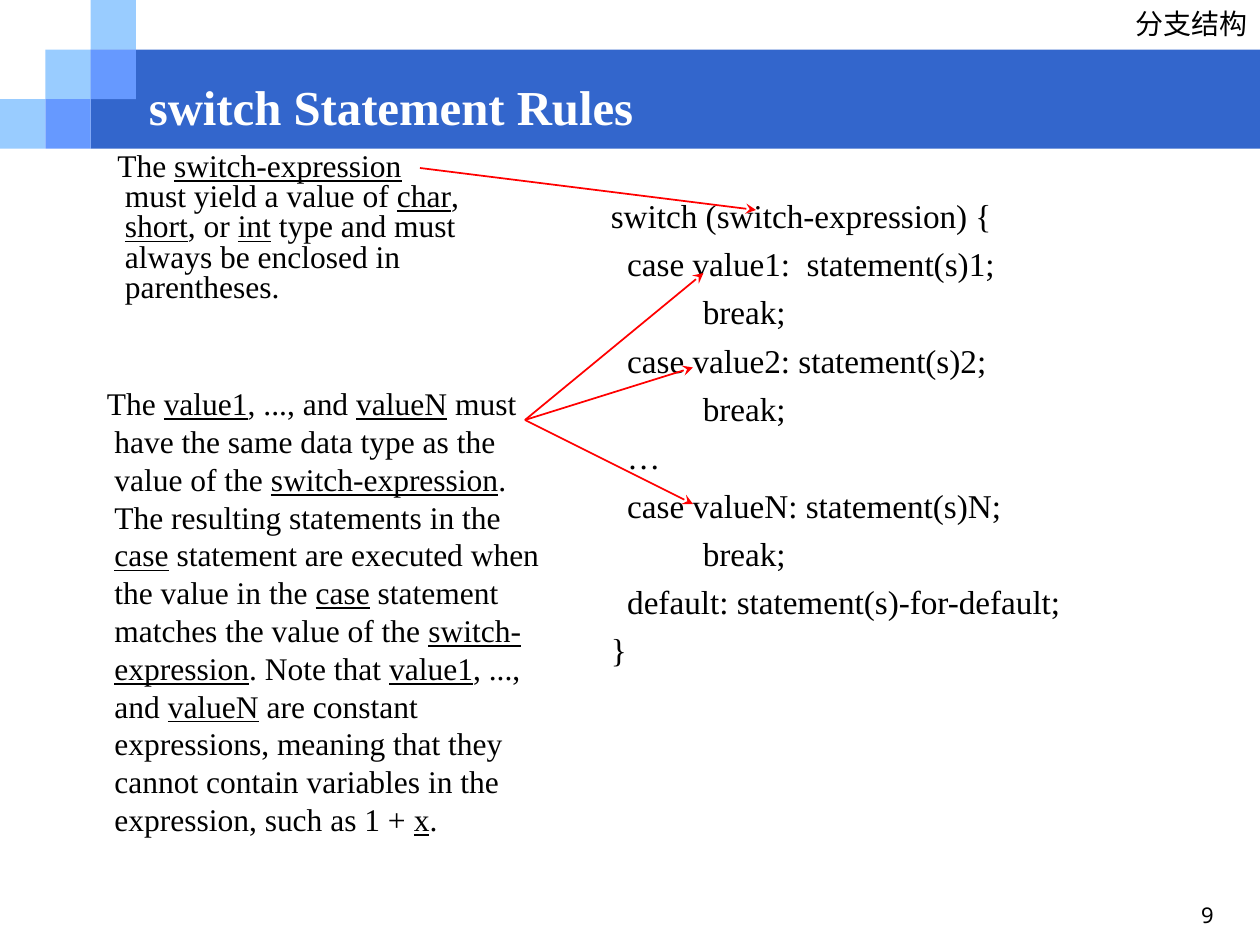
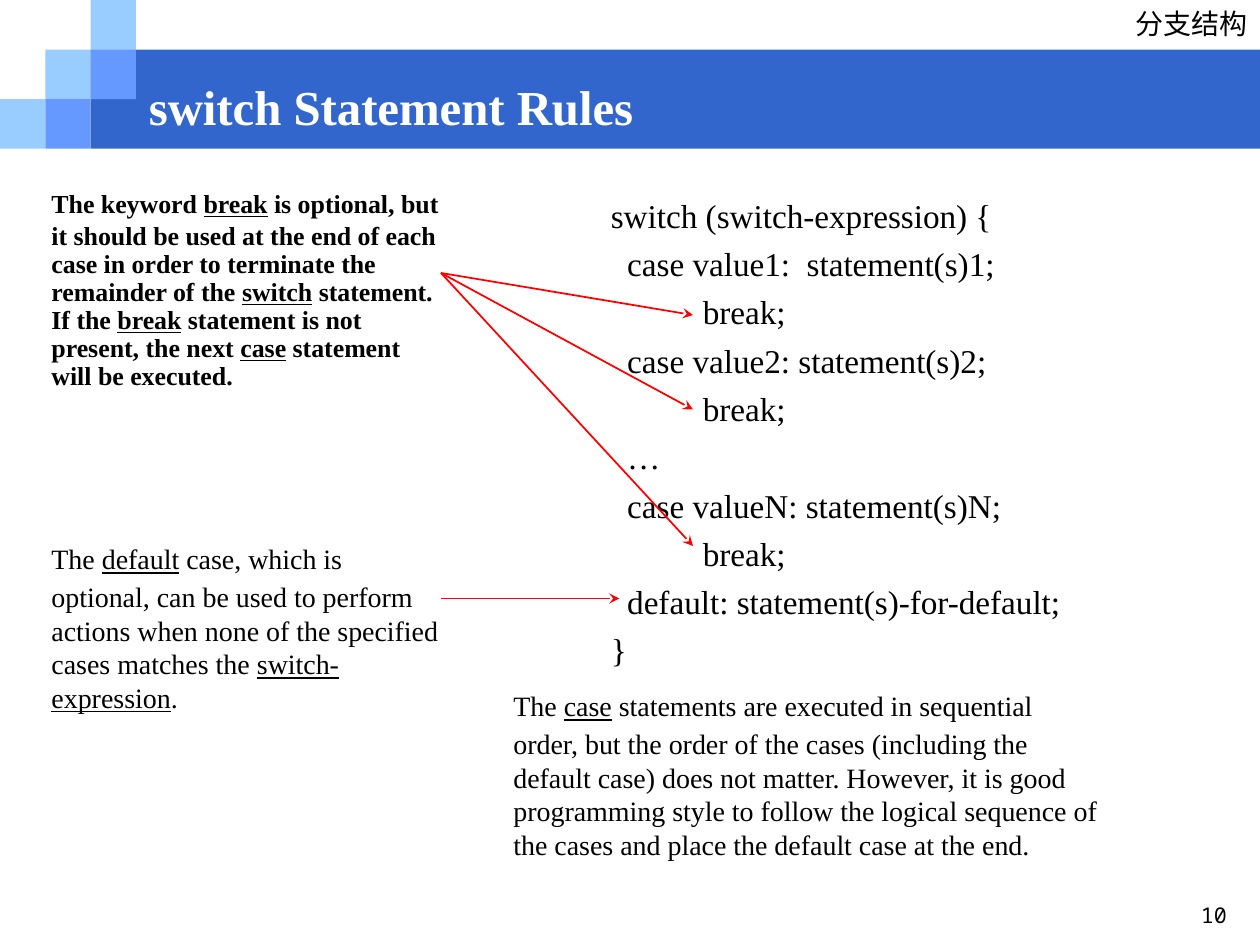
"""Build two slides on the rules of the switch statement."""
from pptx import Presentation
from pptx.dml.color import RGBColor as RGB
from pptx.enum.shapes import MSO_CONNECTOR as CONN, MSO_SHAPE as SHAPE
from pptx.enum.text import MSO_ANCHOR as ANCHOR, PP_ALIGN as ALIGN
from pptx.oxml.ns import qn
from pptx.util import Inches, Pt
from lxml.etree import SubElement

W, H = 10, 7.5
U = W / 120
SQ_W, SQ_H = 0.036 * W, 0.0525 * H
COLORS = {"band": "3366CC", "pale": "99CCFF", "mid": "6699FF",
          "arrow": "FF0000", "text": "000000", "title": "FFFFFF"}
SERIF, CJK, MONO = "Times New Roman", "Noto Sans CJK SC", "Noto Sans Mono"
HANG = 0.06
CODE_INDENTS = [0, 0.13, 0.73]
CODE = [(0, "switch (switch-expression) {"),
        (1, "case value1:  statement(s)1;"),
        (2, "break;"),
        (1, "case value2: statement(s)2;"),
        (2, "break;"),
        (1, "…"),
        (1, "case valueN: statement(s)N;"),
        (2, "break;"),
        (1, "default: statement(s)-for-default;"),
        (0, "}")]
SLIDES = [
    {"number": "9",
     "notes": [
         ("The _switch-expression_ must yield a value of _char_, _short_, or _int_ type "
          "and must always be enclosed in parentheses.",
          dict(at=(10, 14, 36, 17), size=18, spacing=0.8)),
         ("The _value1_, ..., and _valueN_ must have the same data type as the value of "
          "the _switch-expression_. The resulting statements in the _case_ statement are "
          "executed when the value in the _case_ statement matches the value of the "
          "_switch-expression_. Note that _value1_, ..., and _valueN_ are constant "
          "expressions, meaning that they cannot contain variables in the expression, "
          "such as 1 + _x_.",
          dict(at=(9, 36, 45, 45), size=18))],
     "arrows": [((40, 16), [(72, 20)]),
                ((50, 40), [(67, 26), (66, 35), (66, 48)])]},
    {"number": "10",
     "notes": [
         ("The keyword _break_ is optional, but it should be used at the end of each case "
          "in order to terminate the remainder of the _switch_ statement. If the _break_ "
          "statement is not present, the next _case_ statement will be executed.",
          dict(at=(3, 16, 40, 27), size=14.8, bold=True, spacing=0.9, lead=(25.9, SERIF))),
         ("The _default_ case, which is optional, can be used to perform actions when "
          "none of the specified cases matches the _switch-expression_.",
          dict(at=(3, 49, 40, 20), size=16, lead=(28, "Courier New"))),
         ("The _case_ statements are executed in sequential order, but the order of the "
          "cases (including the default case) does not matter. However, it is good "
          "programming style to follow the logical sequence of the cases and place the "
          "default case at the end.",
          dict(at=(47, 63, 59, 20), size=16, lead=(28, SERIF)))],
     "arrows": [((42, 26), [(66, 30), (66, 39), (66, 52)]),
                ((42, 57), [(59, 57)])]},
]


def add_text(s, lines, at, size, font=SERIF, color="text", bold=False, spacing=None,
             before=None, align=None, anchor=ANCHOR.TOP, wrap=True, hang=0, lead=None):
    """Add a text box; lines are (indent, text) pairs, with _marks_ for underlining."""
    tf = s.shapes.add_textbox(*[Inches(n * U) for n in at]).text_frame
    tf.word_wrap, tf.vertical_anchor = wrap, anchor
    for i, (indent, line) in enumerate(lines):
        p = tf.add_paragraph() if i else tf.paragraphs[0]
        p.alignment = align
        if spacing:
            p.line_spacing = spacing
        if before:
            p.space_before = Pt(before)
        pPr = p._p.get_or_add_pPr()
        pPr.set("marL", str(Inches(indent)))
        pPr.set("indent", str(Inches(-hang)))
        parts = [(part, size, font, k % 2 == 1) for k, part in enumerate(line.split("_"))]
        if lead:
            SubElement(SubElement(pPr, qn("a:tabLst")), qn("a:tab"), pos="0", algn="l")
            parts.insert(0, ("\t", *lead, False))
        for part, points, face, underline in parts:
            r = p.add_run()
            r.text = part
            r.font.size, r.font.name, r.font.bold = Pt(points), face, bold
            r.font.underline = underline
            r.font.color.rgb = RGB.from_string(COLORS[color])
            SubElement(r._r.get_or_add_rPr(), qn("a:ea"), typeface=face)


prs = Presentation()
prs.slide_width, prs.slide_height = Inches(W), Inches(H)

for slide in SLIDES:
    s = prs.slides.add_slide(prs.slide_layouts[6])

    blocks = [("band", 2, 1, W / SQ_W - 2, 2)]
    blocks += [("pale", col, 2 - col, 1, 1) for col in range(3)]
    blocks += [("mid", col, 3 - col, 1, 1) for col in (2, 1)]
    for color, col, row, cols, rows in blocks:
        sp = s.shapes.add_shape(SHAPE.RECTANGLE, Inches(col * SQ_W), Inches(row * SQ_H),
                                Inches(cols * SQ_W), Inches(rows * SQ_H))
        sp.shadow.inherit = False
        sp.fill.solid()
        sp.fill.fore_color.rgb = RGB.from_string(COLORS[color])
        sp.line.fill.background()

    add_text(s, [(0, "分支结构")], at=(107, 0, 13, 4.4), size=16, font=CJK,
             align=ALIGN.RIGHT, wrap=False)
    add_text(s, [(0, "switch Statement Rules")], at=(13, 7.1, 107, 7), size=27.9,
             color="title", bold=True, spacing=0.8, anchor=ANCHOR.MIDDLE)
    add_text(s, [(0, slide["number"])], at=(113.2, 85.8, 7, 4.2), size=12.4, font=MONO,
             spacing=0.8)
    add_text(s, [(CODE_INDENTS[level], line) for level, line in CODE],
             at=(57, 18, 48, 50), size=19, before=4.8)
    for note, style in slide["notes"]:
        add_text(s, [(HANG, note)], hang=HANG, **style)

    for start, ends in slide["arrows"]:
        for end in ends:
            sp = s.shapes.add_connector(CONN.STRAIGHT, *[Inches(n * U) for n in start + end])
            sp.line.color.rgb = RGB.from_string(COLORS["arrow"])
            sp.line.width = Pt(1)
            SubElement(sp.line._get_or_add_ln(), qn("a:tailEnd"), type="stealth")
            SubElement(sp._element.spPr, qn("a:effectLst"))

prs.save("out.pptx")
